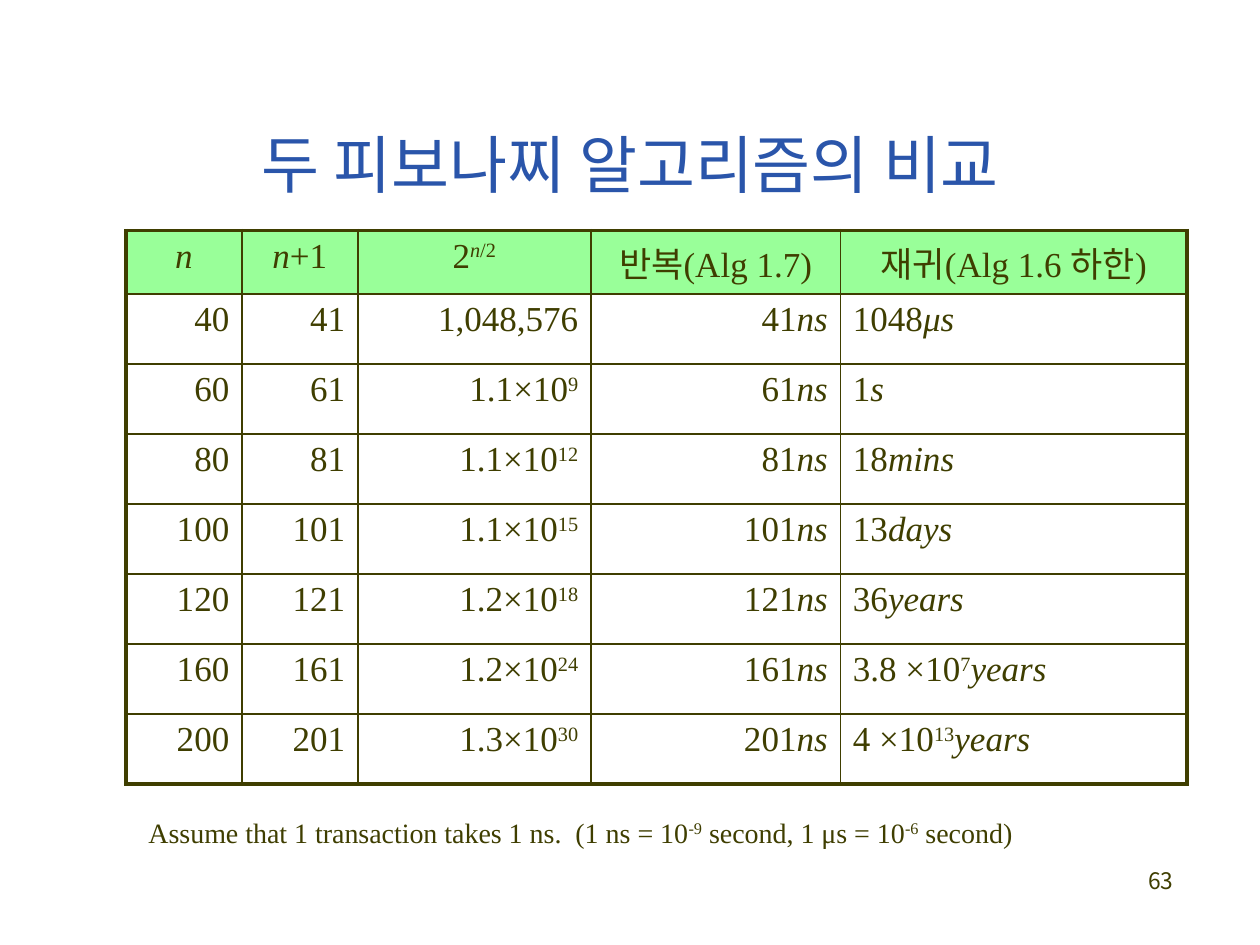
from dataclasses import dataclass

from pptx import Presentation
from pptx.dml.color import RGBColor as RGB
from pptx.enum.text import MSO_ANCHOR as Anchor, PP_ALIGN as Align
from pptx.oxml.xmlchemy import OxmlElement as Element
from pptx.util import Inches, Pt

GRID_COLS, GRID_ROWS = 100, 75


@dataclass(frozen=True)
class Theme:
    ink: str = "3F3E00"
    title_ink: str = "2A55AA"
    header_fill: str = "99FF99"
    serif: str = "Times New Roman"
    sans: str = "Noto Sans CJK KR"
    title_size: float = 36
    table_size: float = 20
    note_size: float = 16
    number_size: float = 13
    thin: float = 1
    thick: float = 2.25


class Deck:
    def __init__(self, theme):
        self.theme = theme
        self.prs = Presentation()
        self.prs.slide_width, self.prs.slide_height = Inches(10), Inches(7.5)
        self.s = self.prs.slides.add_slide(self.prs.slide_layouts[5])

    def x(self, cols):
        return int(self.prs.slide_width * cols / GRID_COLS)

    def y(self, rows):
        return int(self.prs.slide_height * rows / GRID_ROWS)

    def box(self, col, row, width, height):
        return self.x(col), self.y(row), self.x(width), self.y(height)

    def add_runs(self, tf, text, size, font, color, align=Align.LEFT):
        """Runs are split by |; a leading ^ raises a run, _ slants it."""
        p = tf.paragraphs[0]
        p.alignment = align
        p.space_before = Pt(0)
        for part in text.split("|"):
            r = p.add_run()
            r.text = part.lstrip("^_")
            marks = part[:len(part) - len(r.text)]
            r.font.size, r.font.name = Pt(size), font
            r.font.color.rgb = RGB.from_string(color)
            r.font.italic = "_" in marks
            rPr = r._r.get_or_add_rPr()
            if "^" in marks:
                rPr.set("baseline", "30000")
            ea = Element("a:ea")
            ea.set("typeface", self.theme.sans)
            rPr.find("{*}latin").addnext(ea)

    def title(self, text, *place):
        t = self.theme
        sp = self.s.shapes.title
        sp.left, sp.top, sp.width, sp.height = self.box(*place)
        sp.text_frame.vertical_anchor = Anchor.MIDDLE
        self.add_runs(sp.text_frame, text, t.title_size, t.sans, t.title_ink,
                      Align.CENTER)

    def text(self, text, place, size, font, align=Align.LEFT):
        tf = self.s.shapes.add_textbox(*self.box(*place)).text_frame
        tf.word_wrap = True
        self.add_runs(tf, text, size, font, self.theme.ink, align)

    def border(self, cell, side, width):
        ln = Element(f"a:ln{side}")
        ln.set("w", str(Pt(width)))
        fill, color = Element("a:solidFill"), Element("a:srgbClr")
        color.set("val", self.theme.ink)
        fill.append(color)
        ln.append(fill)
        cell._tc.get_or_add_tcPr().append(ln)

    def table(self, rows, place, widths, header_height, aligns):
        t = self.theme
        last_row, last_col = len(rows) - 1, len(widths) - 1
        tbl = self.s.shapes.add_table(len(rows), len(widths),
                                      *self.box(*place)).table
        for column, width in zip(tbl.columns, widths):
            column.width = self.x(width)
        body_height = (place[3] - header_height) / last_row
        for i, row in enumerate(rows):
            tbl.rows[i].height = self.y(body_height if i else header_height)
            for j, text in enumerate(row):
                cell = tbl.cell(i, j)
                # Thick frame outside, thin rules inside
                outer = {"L": j == 0, "R": j == last_col,
                         "T": i == 0, "B": i == last_row}
                for side, is_outer in outer.items():
                    self.border(cell, side, t.thick if is_outer else t.thin)
                if i:
                    cell.fill.background()
                else:
                    cell.fill.solid()
                    cell.fill.fore_color.rgb = RGB.from_string(t.header_fill)
                self.add_runs(cell.text_frame, text, t.table_size, t.serif,
                              t.ink, aligns[j] if i else Align.CENTER)


def main():
    theme = Theme()
    deck = Deck(theme)
    deck.title("두 피보나찌 알고리즘의 비교", 7.5, 6.7, 85, 12.5)

    # Comparison table: n, value of 2^(n/2), recursive time
    cases = [
        (40, "1,048,576", "1048|_μs"),
        (60, "1.1×10|^9", "1|_s"),
        (80, "1.1×10|^12", "18|_mins"),
        (100, "1.1×10|^15", "13|_days"),
        (120, "1.2×10|^18", "36|_years"),
        (160, "1.2×10|^24", "3.8 ×10|^7|_years"),
        (200, "1.3×10|^30", "4 ×10|^13|_years"),
    ]
    header = ("_n", "_n|+1", "2|^_n|^/2", "반복(Alg 1.7)", "재귀(Alg 1.6 하한)")
    body = [(str(n), str(n + 1), power, f"{n + 1}|_ns", recursive)
            for n, power, recursive in cases]
    deck.table([header] + body, (10, 18.3, 84.2, 43.6),
               widths=(9.2, 9.2, 18.5, 19.8, 27.5), header_height=4.7,
               aligns=[Align.RIGHT] * 4 + [Align.LEFT])

    # Assumption and page number
    deck.text("Assume that 1 transaction takes 1 ns.  (1 ns = 10|^-9"
              "| second, 1 μs = 10|^-6| second)",
              (10.8, 64.2, 72.9, 7.7), theme.note_size, theme.serif)
    deck.text("63", (73.3, 68.3, 20.8, 5), theme.number_size, theme.sans,
              Align.RIGHT)
    deck.prs.save("out.pptx")


if __name__ == "__main__":
    main()
